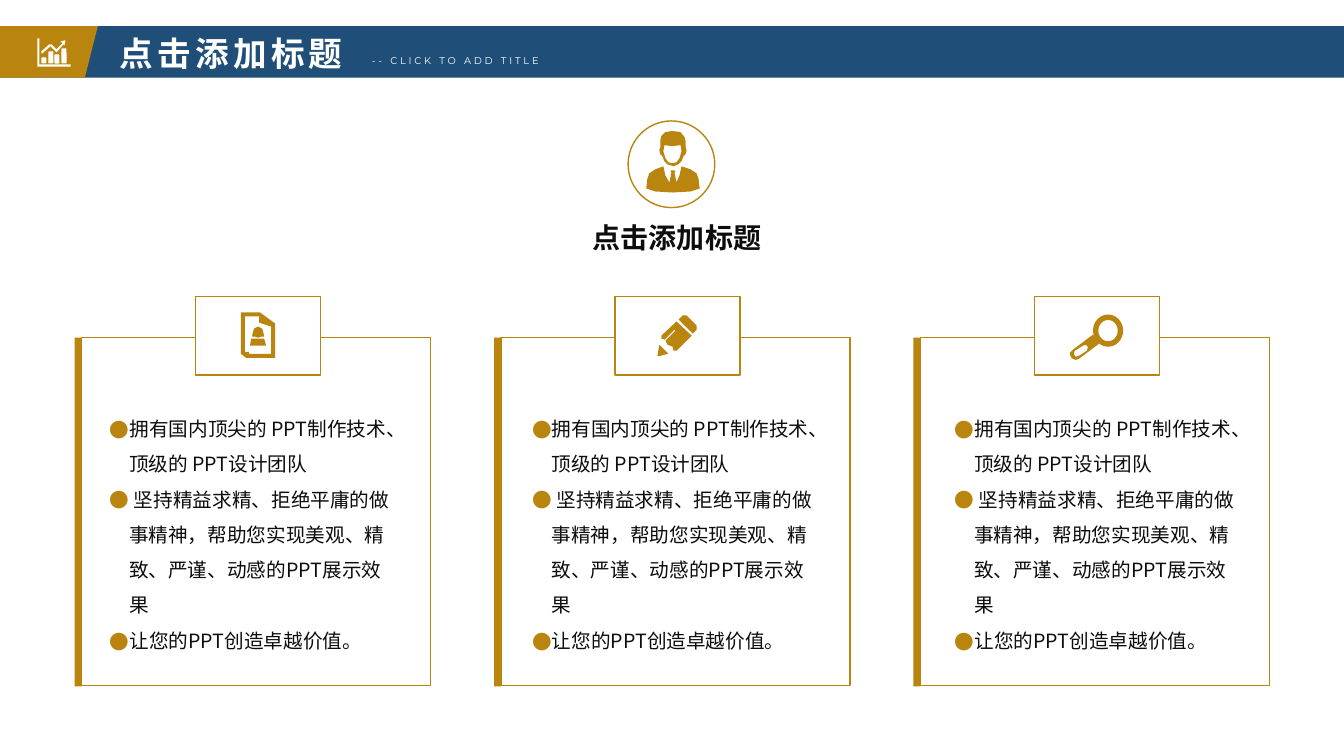
"""Build a slide with a title bar, a portrait heading and three bulleted cards."""
from lxml import etree
from pptx import Presentation
from pptx import util as u
from pptx.dml.color import RGBColor
from pptx.enum import shapes, text
from pptx.oxml.ns import qn

GOLD, NAVY, WHITE, INK = "BA850E", "1F4E79", "FFFFFF", "0D0D0D"
SANS = "Noto Sans CJK SC"
KIND = shapes.MSO_SHAPE
HEADING = "点击添加标题"
POINTS = [
    "拥有国内顶尖的 PPT制作技术、顶级的 PPT设计团队",
    " 坚持精益求精、拒绝平庸的做事精神，帮助您实现美观、精致、严谨、动感的PPT展示效果",
    "让您的PPT创造卓越价值。",
]

deck = Presentation()
deck.slide_width, deck.slide_height = u.Inches(13.33), u.Inches(7.5)
page = deck.slides.add_slide(deck.slide_layouts.get_by_name("Comparison"))
title, heading, *lists = page.placeholders

backdrop = page.background.fill
backdrop.gradient()
backdrop.gradient_angle = 0
for stop, colour in zip(backdrop.gradient_stops, (WHITE, "FCFDFE")):
    stop.color.rgb = RGBColor.from_string(colour)


def paint(shape, fill, line=None):
    """Fill a shape and give it a thin outline or none."""
    shape.shadow.inherit = False
    shape.fill.solid()
    shape.fill.fore_color.rgb = RGBColor.from_string(fill)
    if line:
        shape.line.color.rgb = RGBColor.from_string(line)
        shape.line.width = u.Pt(1)
    else:
        shape.line.fill.background()


def write(box, place, lines, size, colour, name=SANS, bold=False, spacing=0, bullets=False, wrap=True):
    """Place a text box in front and set its paragraphs."""
    box.left, box.top, box.width, box.height = map(u.Inches, place)
    page.shapes.element.append(box.element)
    frame = box.text_frame
    frame.text = "\n".join(lines)
    frame.word_wrap = wrap
    frame.auto_size = text.MSO_AUTO_SIZE.SHAPE_TO_FIT_TEXT
    frame.vertical_anchor = text.MSO_ANCHOR.TOP
    for para in frame.paragraphs:
        para.alignment = text.PP_ALIGN.LEFT
        para.line_spacing = 1.5 if bullets else 1.0
        para.space_before = u.Pt(0)
        props = para._p.get_or_add_pPr()
        if bullets:
            props.set("marL", str(u.Inches(0.19)))
            props.set("indent", str(u.Inches(-0.19)))
            tint = etree.SubElement(props, qn("a:buClr"))
            etree.SubElement(tint, qn("a:srgbClr"), val=GOLD)
            etree.SubElement(props, qn("a:buFont"), typeface=SANS)
            etree.SubElement(props, qn("a:buChar"), char="●")
        font = para.font
        font.size, font.bold, font.name = u.Pt(size), bold, name
        font.color.rgb = RGBColor.from_string(colour)
        default = props.find(qn("a:defRPr"))
        default.set("spc", str(spacing * 100))
        etree.SubElement(default, qn("a:ea"), typeface=name)


for column, bullet_list in enumerate(lists):
    left = 0.74 + 4.16 * column
    for kind, x, y, width, height, fill, line in (
        (KIND.RECTANGLE, left + 0.07, 3.35, 3.46, 3.45, WHITE, GOLD),
        (KIND.RECTANGLE, left, 3.35, 0.07, 3.46, GOLD, None),
        (KIND.RECTANGLE, left + 1.2, 2.94, 1.24, 0.78, WHITE, GOLD),
    ):
        paint(page.shapes.add_shape(kind, *map(u.Inches, (x, y, width, height))), fill, line)
    write(bullet_list, (0.99 + 4.19 * column, 3.97, 2.98, 2.58), POINTS, 14, INK, bullets=True)

for kind, place, fill, line in (
    (KIND.PARALLELOGRAM, (-0.47, 0.26, 14.28, 0.51), NAVY, None),
    (KIND.PARALLELOGRAM, (-0.4, 0.26, 1.37, 0.51), GOLD, None),
    (KIND.ROUNDED_RECTANGLE, (0.41, 0.57, 0.05, 0.06), WHITE, None),
    (KIND.ROUNDED_RECTANGLE, (0.48, 0.51, 0.05, 0.12), WHITE, None),
    (KIND.ROUNDED_RECTANGLE, (0.54, 0.54, 0.05, 0.09), WHITE, None),
    (KIND.ROUNDED_RECTANGLE, (0.61, 0.48, 0.05, 0.15), WHITE, None),
    (KIND.OVAL, (6.23, 1.2, 0.86, 0.86), WHITE, GOLD),
    (KIND.DONUT, (10.84, 3.12, 0.3, 0.32), GOLD, None),
):
    shape = page.shapes.add_shape(kind, *map(u.Inches, place))
    paint(shape, fill, line)
    if kind == KIND.DONUT:
        shape.adjustments[0] = 0.18

chart_axes = [[(37, 38), (39, 38), (39, 64), (70, 64), (70, 66), (37, 66)]]
chart_arrow = [[(65, 40), (60, 41), (62, 43), (56, 49), (51, 44), (49, 44), (41, 51), (41, 53),
                (42, 53), (50, 46), (56, 52), (57, 51), (63, 44), (64, 45)]]
document = [
    [(239, 310), (258, 310), (273, 321), (273, 355), (244, 355), (239, 351)],
    [(243, 314), (257, 314), (257, 320), (269, 324), (269, 351), (247, 351), (247, 349), (243, 349)],
    [(256, 324), (252, 326), (251, 329), (250, 334), (253, 334), (256, 335), (259, 334), (262, 334),
     (261, 329), (260, 326)],
    [(249, 336), (262, 336), (264, 343), (248, 343)],
]
pencil = [
    [(687, 331), (691, 327), (691, 323), (681, 313), (677, 313), (673, 317)],
    [(671, 319), (686, 333), (671, 348), (668, 348), (667, 344), (662, 342), (660, 338), (670, 328),
     (669, 327), (659, 337), (656, 336), (656, 333)],
    [(654, 342), (652, 353), (655, 353), (663, 351)],
]
magnifier_handle = [
    [(1084, 332), (1064, 347), (1061, 350), (1062, 354), (1064, 356), (1067, 357), (1070, 356),
     (1090, 341)],
    [(1074, 343), (1077, 342), (1079, 344), (1078, 348), (1070, 353), (1067, 354), (1065, 351),
     (1066, 348)],
]
portrait = [
    [(657, 155), (655, 153), (654, 149), (655, 146), (655, 139), (656, 135), (660, 131), (667, 130),
     (675, 131), (679, 136), (680, 140), (680, 146), (681, 149), (680, 153), (678, 155), (676, 160),
     (673, 163), (668, 165), (662, 163), (659, 160)],
    [(658, 150), (659, 144), (667, 145), (675, 144), (676, 150), (674, 157), (671, 161), (667, 162),
     (663, 161), (660, 157)],
    [(658, 165), (650, 168), (644, 172), (642, 178), (641, 187), (650, 190), (667, 191), (685, 190),
     (694, 187), (693, 178), (691, 172), (685, 168), (676, 165), (674, 174), (671, 181), (669, 171),
     (670, 170), (669, 169), (666, 169), (665, 170), (666, 171), (664, 181), (660, 174)],
]
for fill, contours in ((WHITE, chart_axes), (WHITE, chart_arrow), (GOLD, document), (GOLD, pencil),
                       (GOLD, magnifier_handle), (GOLD, portrait)):
    outline = page.shapes.build_freeform(*contours[0][0], scale=u.Inches(0.01))
    outline.add_line_segments(contours[0][1:])
    for contour in contours[1:]:
        outline.move_to(*contour[0])
        outline.add_line_segments(contour[1:])
    paint(outline.convert_to_shape(), fill)

write(title, (1.09, 0.28, 2.93, 0.51), [HEADING], 24, WHITE, bold=True, spacing=3)
subtitle = page.shapes.add_textbox(0, 0, 0, 0)
write(subtitle, (3.59, 0.49, 2.59, 0.22), ["-- CLICK TO ADD TITLE"], 7, WHITE, "Montserrat", spacing=2)
write(heading, (5.78, 2.14, 1.88, 0.44), [HEADING], 20, INK, bold=True, wrap=False)

deck.save("out.pptx")
